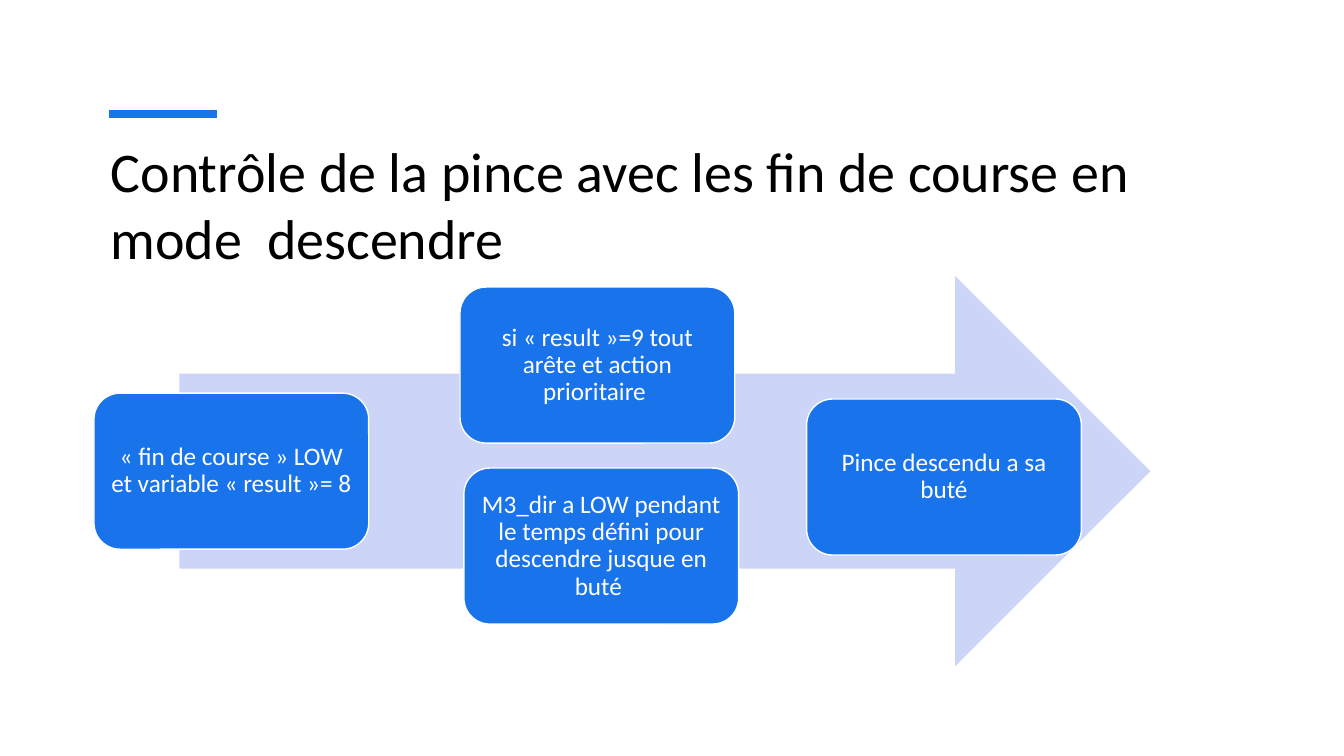
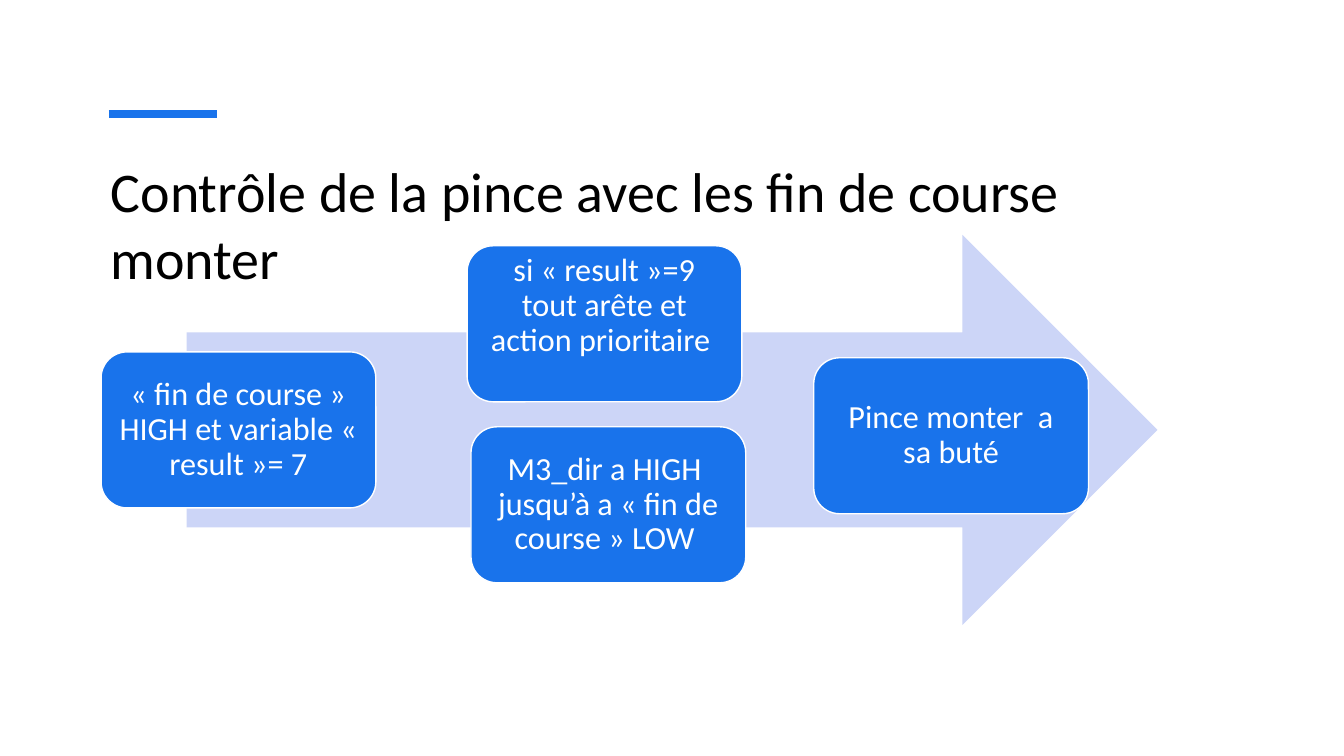
from pptx import Presentation
from pptx import util as u
from pptx.dml.color import RGBColor
from pptx.enum import shapes, text
from pptx.oxml.ns import qn
from lxml import etree

FONT = "Calibri"
BLUE, PALE, WHITE, BLACK = "1973EB", "CCD5F7", "FFFFFF", "000000"
PAGE = (0, 0, u.Inches(13.33), u.Inches(7.5))
SPOTS = [(-8.8, 30), (29.3, 49.2), (64.6, 31.5), (28.9, 2.8)]
SIZE = (28.3, 40)


def color(code):
    return RGBColor.from_string(code)


def cut(box, x, y, w, h):
    left, top, wide, high = box
    return (int(left + wide * x / 100), int(top + high * y / 100),
            int(wide * w / 100), int(high * h / 100))


def write(frame, words, size, ink, align, gap):
    frame.word_wrap = True
    frame.vertical_anchor = text.MSO_ANCHOR.MIDDLE
    para = frame.paragraphs[0]
    para.alignment = align
    para.line_spacing = gap
    run = para.add_run()
    run.text = words
    run.font.name = FONT
    run.font.size = u.Pt(size)
    run.font.color.rgb = color(ink)


def block(slide, kind, box, fill, edge=None):
    shape = slide.shapes.add_shape(kind, *box)
    shape.shadow.inherit = False
    shape.fill.solid()
    shape.fill.fore_color.rgb = color(fill)
    if edge:
        shape.line.color.rgb = color(edge)
        shape.line.width = u.Pt(1)
    else:
        shape.line.fill.background()
    return shape


def head(slide, box, words, top):
    x, y, w, _ = cut(box, 8.1, 15.07, 8.03, 0)
    bar = slide.shapes.add_connector(shapes.MSO_CONNECTOR.STRAIGHT, x, y, x + w, y)
    bar.line.color.rgb = color(BLUE)
    bar.line.width = u.Pt(6)
    etree.SubElement(bar._element.spPr, qn("a:effectLst"))
    title = slide.shapes.add_textbox(*cut(box, 7.5, top, 85, 19.2))
    write(title.text_frame, words, 40, BLACK, text.PP_ALIGN.LEFT, 1.0)


def flow(slide, box, steps, size, pad, lift):
    block(slide, shapes.MSO_SHAPE.RIGHT_ARROW, box, PALE)
    for spot, words in zip(SPOTS, steps):
        card = block(slide, shapes.MSO_SHAPE.ROUNDED_RECTANGLE,
                     cut(box, *spot, *SIZE), BLUE, WHITE)
        frame = card.text_frame
        frame.margin_left = frame.margin_right = u.Inches(pad)
        frame.margin_top = frame.margin_bottom = u.Inches(pad)
        if spot == SPOTS[-1]:
            frame.margin_bottom = u.Inches(pad + lift)
        write(frame, words, size, WHITE, text.PP_ALIGN.CENTER, 0.9)


def page(deck, title, top, left, start, steps, size, pad, lift):
    slide = deck.slides.add_slide(deck.slide_layouts[6])
    head(slide, PAGE, title, top)
    flow(slide, cut(PAGE, left, start, 72.24, 51.6), steps, size, pad, lift)


def main():
    deck = Presentation()
    deck.slide_width, deck.slide_height = PAGE[2:]
    stop = "si « result »=9 tout arête et action prioritaire "
    page(deck, "Contrôle de la pince avec les fin de course en mode  descendre",
         17.33, 13.35, 36.53,
         ["« fin de course » LOW et variable « result »= 8 ",
          "M3_dir a LOW pendant le temps défini pour descendre jusque en buté ",
          "Pince descendu a sa buté", stop], 18, 0.07, 0)
    page(deck, "Contrôle de la pince avec les fin de course monter",
         20, 13.88, 31.07,
         ["« fin de course » HIGH et variable « result »= 7",
          "M3_dir a HIGH  jusqu’à a « fin de course » LOW ",
          "Pince monter  a sa buté", stop], 23, 0.1, 0.35)
    deck.save("out.pptx")


if __name__ == "__main__":
    main()
